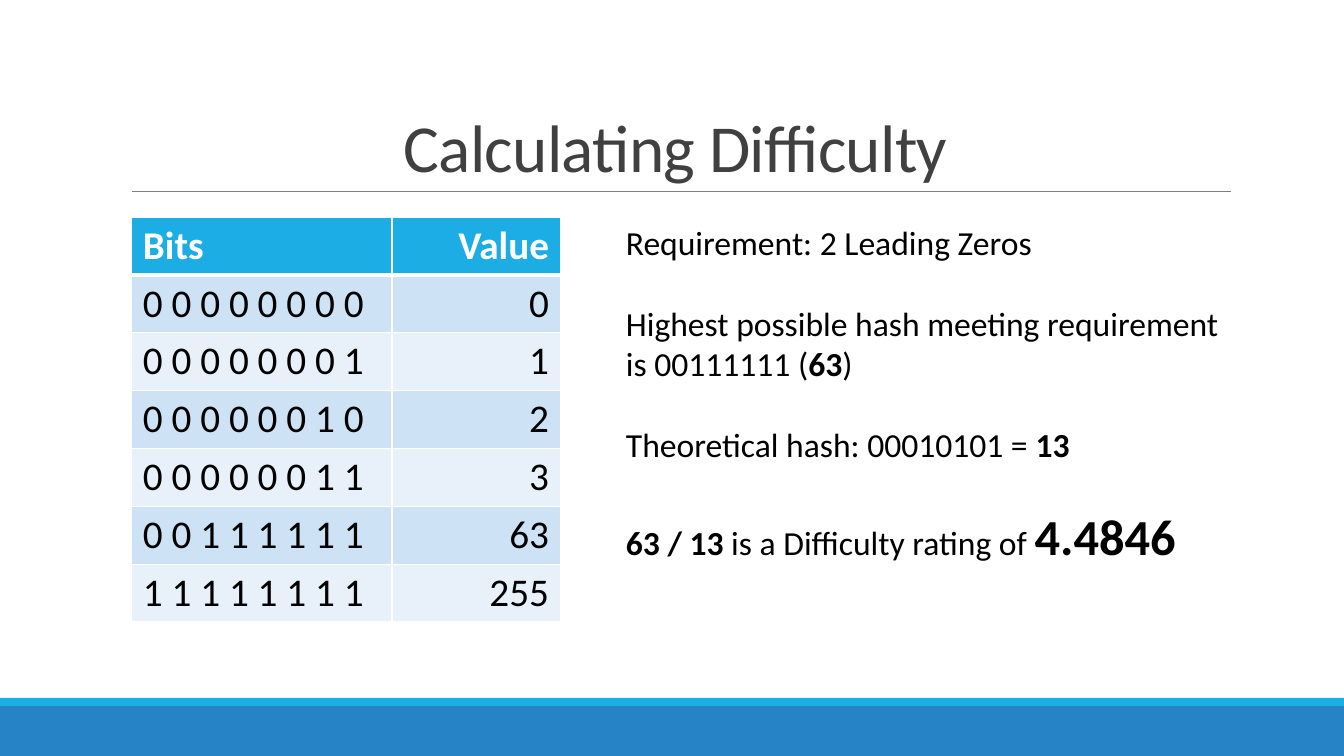
from lxml.etree import SubElement
from pptx import Presentation
from pptx.dml.color import RGBColor
from pptx.enum.shapes import MSO_CONNECTOR, MSO_SHAPE
from pptx.enum.text import MSO_ANCHOR, MSO_AUTO_SIZE, PP_ALIGN
from pptx.oxml import parse_xml
from pptx.oxml.ns import nsdecls, qn
from pptx.util import Emu, Pt

WHITE = RGBColor(0xFF, 0xFF, 0xFF)
BLACK = RGBColor(0, 0, 0)
GREY = RGBColor(0x80, 0x80, 0x80)
TITLE_GREY = RGBColor(0x40, 0x40, 0x40)
CYAN = RGBColor(0x1C, 0xAD, 0xE4)
BLUE = RGBColor(0x26, 0x83, 0xC6)
BANDS = [RGBColor(0xCD, 0xE3, 0xF5), RGBColor(0xE8, 0xF1, 0xFA)]

# Content
TITLE = "Calculating Difficulty"
HEADER = ("Bits", "Value")
BYTES = [0, 1, 2, 3, 63, 255]
NOTES = [  # paragraphs of (text, size, bold)
    [("Requirement: 2 Leading Zeros", 24, False)],
    [("Highest possible hash meeting requirement is 00111111 (", 24, False),
     ("63", 24, True), (")", 24, False)],
    [("Theoretical hash: 00010101 = ", 24, False), ("13", 24, True)],
    [("63 / 13", 24, True), (" is a Difficulty rating of ", 24, False),
     ("4.4846", 36, True)],
]

# Layout in px
SLIDE_W, SLIDE_H = 1344, 756
FOOTER = [(706, 50, BLUE), (698, 8, CYAN)]
RULE = (132, 1231, 191)
TITLE_BOX = (121, 31, 1109, 160)
TABLE_LEFT, TABLE_TOP = 131, 217
COL_WIDTHS = (261, 169)
ROW_H = 57
NOTES_BOX = (616, 217, 635, 397)


def px(n):
    return Emu(round(n * 12192000 / SLIDE_W))


def add_run(p, text, color, **font):
    r = p.add_run()
    r.text = text
    r.font.color.rgb = color
    for name, value in {"name": "Calibri", **font}.items():
        setattr(r.font, name, value)
    return r


def set_borders(cell, widths):
    tcPr = cell._tc.get_or_add_tcPr()
    for i, (side, width) in enumerate(widths.items()):
        tcPr.insert(i, parse_xml(
            f'<a:ln{side} {nsdecls("a")} w="{Pt(width)}"><a:solidFill>'
            f'<a:srgbClr val="{WHITE}"/></a:solidFill></a:ln{side}>'))


prs = Presentation()
prs.slide_width, prs.slide_height = px(SLIDE_W), px(SLIDE_H)
slide = prs.slides.add_slide(prs.slide_layouts[5])
shapes = slide.shapes

# Footer bands
for top, height, color in FOOTER:
    sp = shapes.add_shape(MSO_SHAPE.RECTANGLE, 0, px(top), px(SLIDE_W), px(height))
    sp.shadow.inherit = False
    sp.fill.solid()
    sp.fill.fore_color.rgb = color
    sp.line.fill.background()

# Rule under the title
x1, x2, y = map(px, RULE)
rule = shapes.add_connector(MSO_CONNECTOR.STRAIGHT, x1, y, x2, y)
rule.line.color.rgb = GREY
rule.line.width = Pt(0.5)
SubElement(rule._element.spPr, qn("a:effectLst"))

# Title
title = shapes.title
title.left, title.top, title.width, title.height = map(px, TITLE_BOX)
tf = title.text_frame
tf.auto_size = MSO_AUTO_SIZE.NONE
tf.vertical_anchor = MSO_ANCHOR.BOTTOM
p = tf.paragraphs[0]
p.alignment = PP_ALIGN.CENTER
p.line_spacing = 0.85
r = add_run(p, TITLE, TITLE_GREY, size=Pt(48))
r.font._element.set("spc", "-50")

# Table of bit patterns
rows = [HEADER] + [(" ".join(f"{n:08b}"), str(n)) for n in BYTES]
table = shapes.add_table(len(rows), len(HEADER), px(TABLE_LEFT), px(TABLE_TOP),
                         px(sum(COL_WIDTHS)), px(ROW_H * len(rows))).table
for column, width in zip(table.columns, COL_WIDTHS):
    column.width = px(width)
for i, row in enumerate(rows):
    table.rows[i].height = px(ROW_H)
    head = i == 0
    for j, text in enumerate(row):
        cell = table.cell(i, j)
        cell.margin_left = cell.margin_right = px(12)
        cell.margin_top = cell.margin_bottom = px(5)
        cell.fill.solid()
        cell.fill.fore_color.rgb = CYAN if head else BANDS[(i - 1) % 2]
        set_borders(cell, {"L": 1, "R": 1, "T": 3 if i == 1 else 1, "B": 3 if head else 1})
        p = cell.text_frame.paragraphs[0]
        p.alignment = PP_ALIGN.RIGHT if j else PP_ALIGN.LEFT
        add_run(p, text, WHITE if head else BLACK, size=Pt(28), bold=head)

# Worked example
tf = shapes.add_textbox(*map(px, NOTES_BOX)).text_frame
tf.word_wrap = True
for i, runs in enumerate(NOTES):
    p = tf.add_paragraph() if i else tf.paragraphs[0]
    p.space_before = Pt(29 if i else 0)
    for text, size, bold in runs:
        add_run(p, text, BLACK, size=Pt(size), bold=bold)

prs.save("out.pptx")
